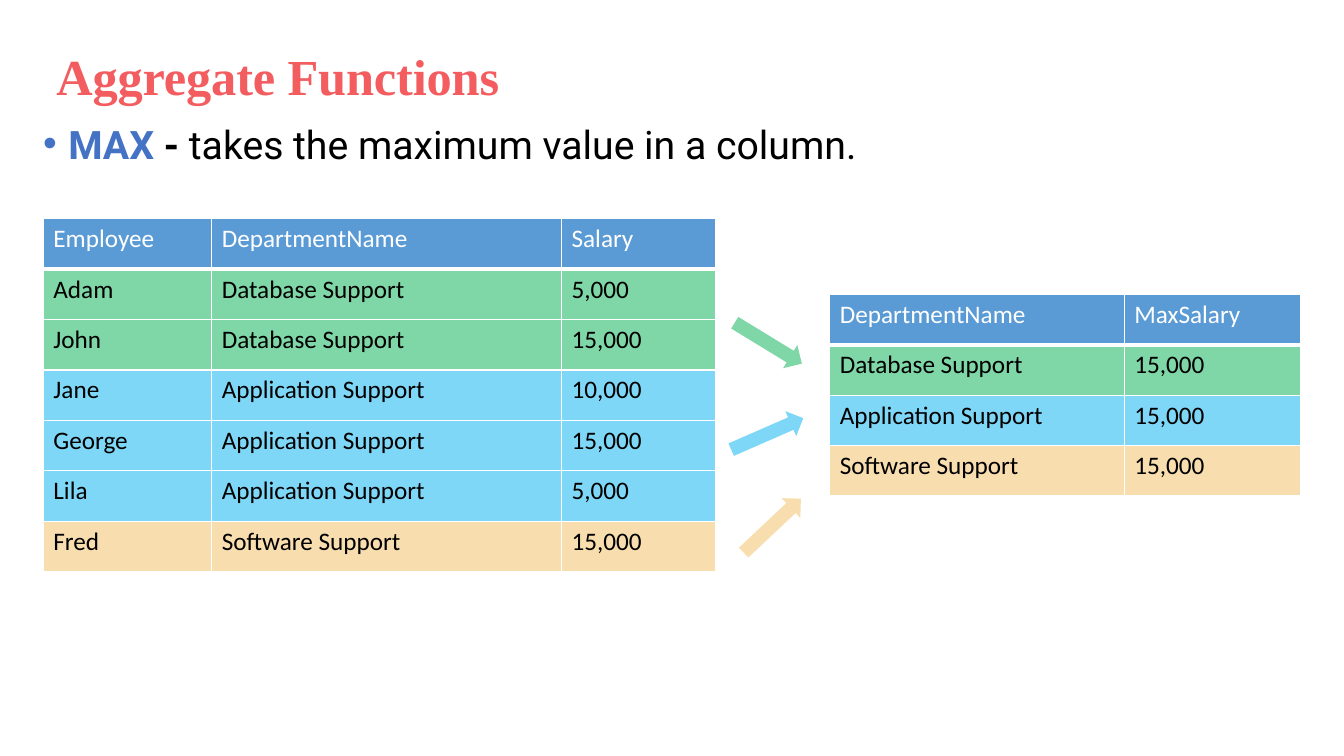
from pptx import Presentation
from pptx.dml.color import RGBColor
from pptx.enum.shapes import MSO_SHAPE as SHAPE
from pptx.oxml import parse_xml
from pptx.oxml.ns import nsdecls, qn
from pptx.util import Inches, Pt

BLUE, GREEN, CYAN, SAND = "5B9BD5", "00B050", "00B0F0", "F3BE60"
WHITE, BLACK, ACCENT, CORAL = "FFFFFF", "000000", "4472C4", "F45D60"
DEPARTMENT_COLORS = {
    "Database Support": GREEN,
    "Application Support": CYAN,
    "Software Support": SAND,
}
ROW_HEIGHT = 0.5

EMPLOYEES = [
    ("Employee", "DepartmentName", "Salary"),
    ("Adam", "Database Support", "5,000"),
    ("John", "Database Support", "15,000"),
    ("Jane", "Application Support", "10,000"),
    ("George", "Application Support", "15,000"),
    ("Lila", "Application Support", "5,000"),
    ("Fred", "Software Support", "15,000"),
]
MAXIMUMS = [
    ("DepartmentName", "MaxSalary"),
    ("Database Support", "15,000"),
    ("Application Support", "15,000"),
    ("Software Support", "15,000"),
]
ARROWS = [  # left, top, rotation, color
    (7.23, 3.27, 31.4, GREEN),
    (7.22, 4.17, 336.4, CYAN),
    (7.27, 5.08, 316.7, SAND),
]


def rgb(color):
    return RGBColor.from_string(color)


def fill_solid(fill, color, alpha=None):
    """Fill with a colour; alpha is the opacity in percent."""
    fill.solid()
    fill.fore_color.rgb = rgb(color)
    if alpha is not None:
        clr = fill._xPr.find(".//" + qn("a:srgbClr"))
        clr.append(parse_xml(f'<a:alpha {nsdecls("a")} val="{alpha * 1000}"/>'))


def add_run(p, text, color, **font):
    r = p.add_run()
    r.text = text
    r.font.color.rgb = rgb(color)
    for name, value in font.items():
        setattr(r.font, name, value)
    return r


def add_text_box(slide, left, top, width, height):
    tf = slide.shapes.add_textbox(*map(Inches, (left, top, width, height))).text_frame
    tf.word_wrap = True
    return tf.paragraphs[0]


def add_title(slide, *box):
    p = add_text_box(slide, *box)
    r = add_run(p, "Aggregate Functions", CORAL,
                name="Times New Roman", size=Pt(36), bold=True)
    r.font._element.set("spc", "-10")


def add_definition(slide, *box):
    p = add_text_box(slide, *box)
    pPr = p._p.get_or_add_pPr()
    pPr.set("marL", str(Inches(0.25)))
    pPr.set("indent", str(-Inches(0.25)))
    pPr.append(parse_xml(f'<a:buFont {nsdecls("a")} typeface="Arial"/>'))
    pPr.append(parse_xml(f'<a:buChar {nsdecls("a")} char="•"/>'))
    for text, color, bold in [
        ("MAX", ACCENT, True),
        (" -", BLACK, True),
        (" takes the maximum value in a column.", BLACK, False),
    ]:
        add_run(p, text, color, name="Roboto", size=Pt(28), bold=bold)


def set_borders(cell, bottom):
    """Draw white borders, placed before the fill as the schema asks."""
    tcPr = cell._tc.get_or_add_tcPr()
    widths = {"lnL": 1, "lnR": 1, "lnT": 1, "lnB": bottom}
    for i, (side, width) in enumerate(widths.items()):
        tcPr.insert(i, parse_xml(
            f'<a:{side} {nsdecls("a")} w="{Pt(width)}"><a:solidFill>'
            f'<a:srgbClr val="{WHITE}"/></a:solidFill></a:{side}>'))


def add_salary_table(slide, left, top, widths, rows):
    """Add a table whose rows take the colour of their department."""
    table = slide.shapes.add_table(
        len(rows), len(widths), Inches(left), Inches(top),
        Inches(sum(widths)), Inches(ROW_HEIGHT * len(rows))).table
    for column, width in zip(table.columns, widths):
        column.width = Inches(width)
    department = rows[0].index("DepartmentName")
    for i, values in enumerate(rows):
        header = i == 0
        for j, value in enumerate(values):
            cell = table.cell(i, j)
            if header:
                fill_solid(cell.fill, BLUE)
            else:
                fill_solid(cell.fill, DEPARTMENT_COLORS[values[department]], 50)
            set_borders(cell, 3 if header else 1)
            add_run(cell.text_frame.paragraphs[0], value,
                    WHITE if header else BLACK,
                    name="Calibri", size=Pt(18), bold=False)


def add_arrow(slide, left, top, rotation, color):
    s = slide.shapes.add_shape(
        SHAPE.RIGHT_ARROW, Inches(left), Inches(top), Inches(0.78), Inches(0.27))
    s.rotation = rotation
    s.shadow.inherit = False
    s.line.fill.background()
    fill_solid(s.fill, color, 50)


def main():
    prs = Presentation()
    prs.slide_width, prs.slide_height = Inches(13.33), Inches(7.5)
    slide = prs.slides.add_slide(prs.slide_layouts[6])
    add_definition(slide, 0.33, 1.14, 12.37, 5.51)
    add_salary_table(slide, 0.43, 2.17, (1.67, 3.47, 1.53), EMPLOYEES)
    add_salary_table(slide, 8.23, 2.92, (2.92, 1.75), MAXIMUMS)
    for arrow in ARROWS:
        add_arrow(slide, *arrow)
    add_title(slide, 0.46, 0.4, 9.45, 0.71)
    prs.save("out.pptx")


if __name__ == "__main__":
    main()
